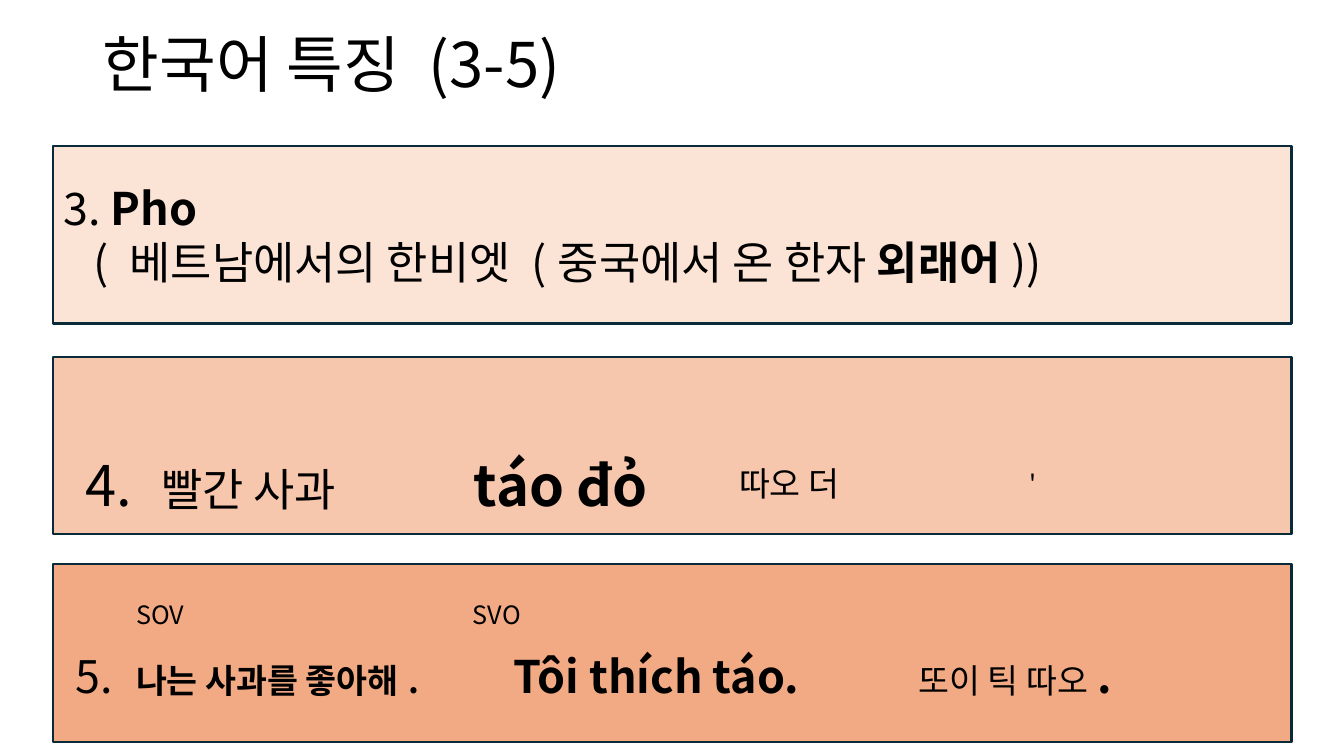
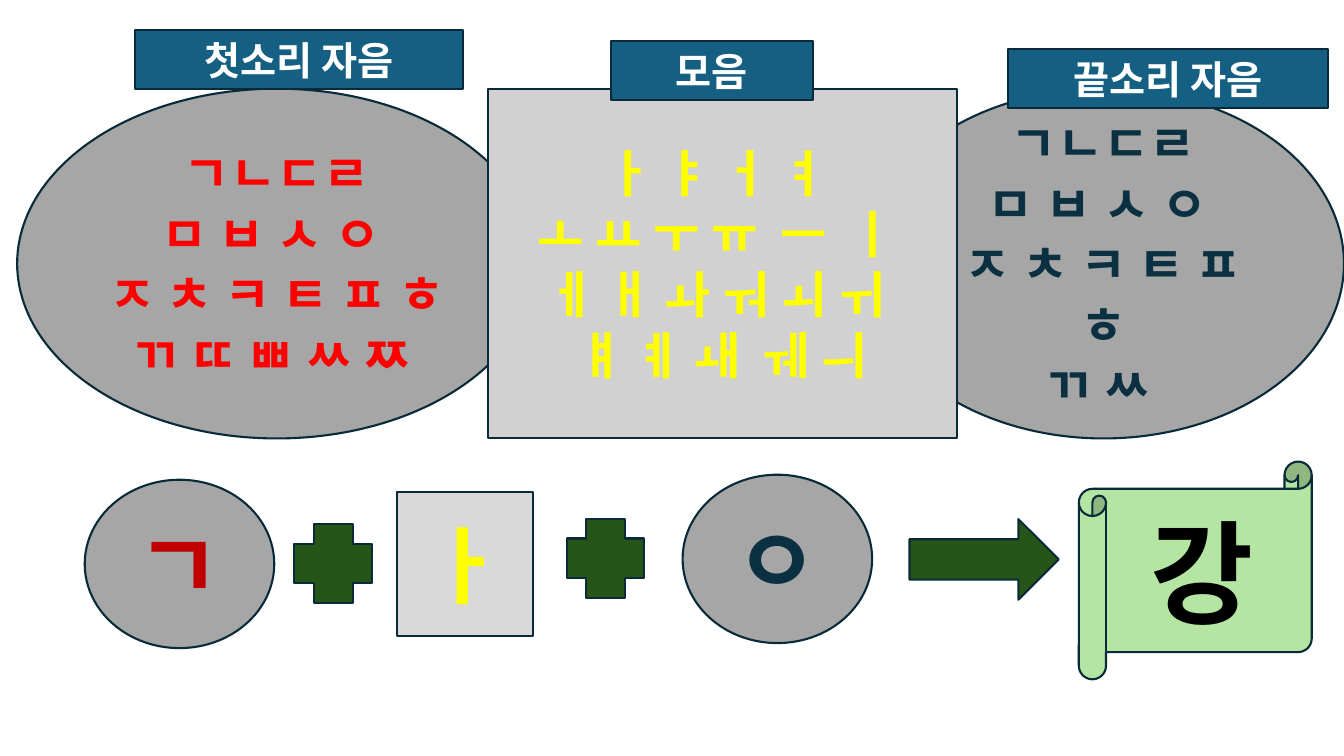
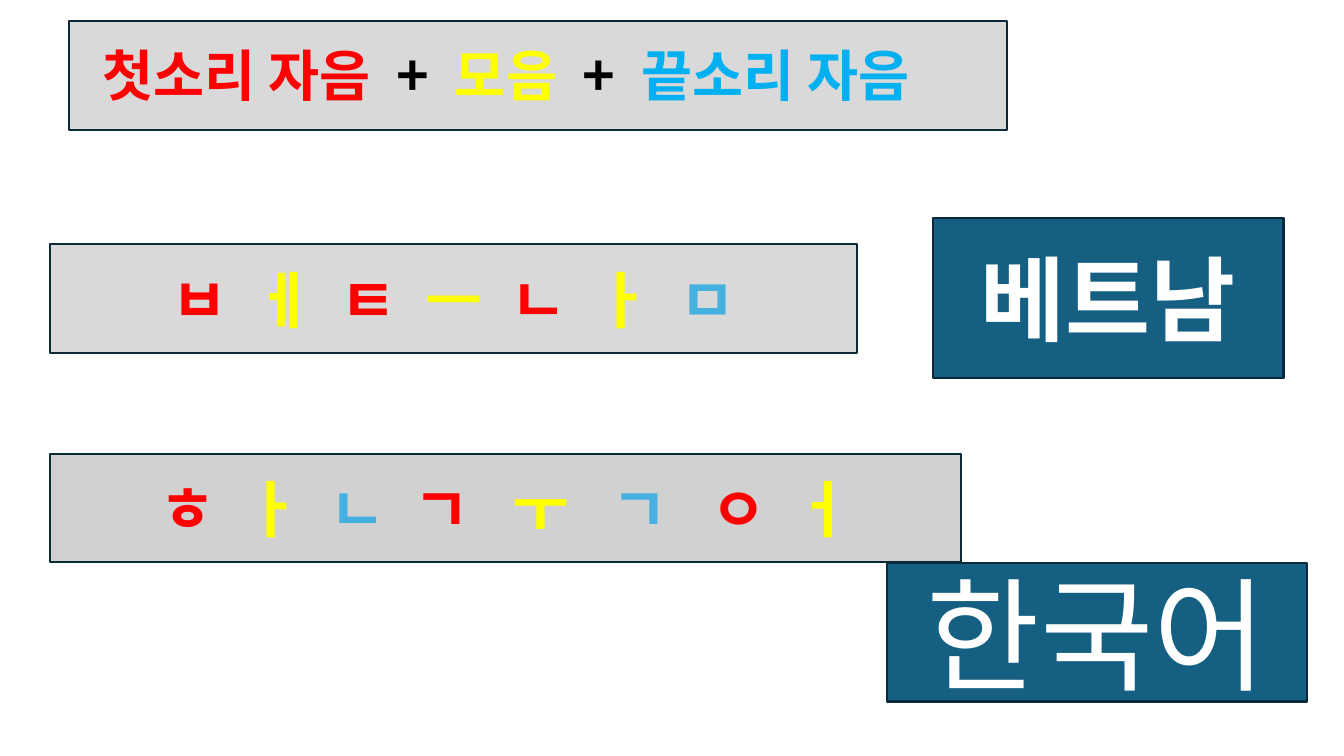
from lxml import etree
from pptx import Presentation
from pptx.dml.color import RGBColor
from pptx.enum.shapes import MSO_SHAPE
from pptx.enum.text import MSO_ANCHOR, MSO_AUTO_SIZE, PP_ALIGN
from pptx.oxml.ns import qn
from pptx.util import Inches, Pt

FONT = "Noto Sans CJK KR"
NO_GRID = "{2D5ABB26-0587-4C30-8999-92F81FD0307C}"
BLACK = RGBColor(0x00, 0x00, 0x00)
WHITE = RGBColor(0xFF, 0xFF, 0xFF)
RED = RGBColor(0xFF, 0x00, 0x00)
CRIMSON = RGBColor(0xC0, 0x00, 0x00)
YELLOW = RGBColor(0xFF, 0xFF, 0x00)
SKY = RGBColor(0x00, 0xB0, 0xF0)
AZURE = RGBColor(0x46, 0xB1, 0xE1)
NAVY = RGBColor(0x0B, 0x30, 0x41)
EDGE = RGBColor(0x09, 0x2A, 0x39)
TEAL = RGBColor(0x15, 0x60, 0x82)
GREEN = RGBColor(0x27, 0x54, 0x17)
LIME = RGBColor(0xB4, 0xE5, 0xA2)
GRAY = RGBColor(0xA6, 0xA6, 0xA6)
SILVER = RGBColor(0xD1, 0xD1, 0xD1)
PALE = RGBColor(0xD9, 0xD9, 0xD9)
PEACHES = [RGBColor(0xFB, 0xE3, 0xD6), RGBColor(0xF6, 0xC6, 0xAD),
           RGBColor(0xF2, 0xAA, 0x84)]
RECT, OVAL = MSO_SHAPE.RECTANGLE, MSO_SHAPE.OVAL


def run(text, size=None, bold=None, color=None, track=None):
    """Describe a run; track is letter spacing in points."""
    return text, size, bold, color, track


def place(shape, at):
    shape.left, shape.top, shape.width, shape.height = map(Inches, at)


class Deck:
    """Holds the shared style and the slide being filled."""

    def __init__(self):
        self.prs = Presentation()
        self.prs.slide_width = Inches(13.33)
        self.prs.slide_height = Inches(7.5)

    def slide(self, layout):
        page = self.prs.slides.add_slide(self.prs.slide_layouts[layout])
        self.shapes = page.shapes

    def style(self, font, size, bold, color):
        if size:
            font.size = Pt(size)
        if bold is not None:
            font.bold = bold
        if color is not None:
            font.color.rgb = color

    def para(self, para, runs, size, color=BLACK, bold=False,
             align=PP_ALIGN.LEFT, indent=0):
        para.alignment = align
        self.style(para.font, size, bold, color)
        para.font.name = FONT
        asian = etree.SubElement(para.font._element, qn("a:ea"))
        asian.set("typeface", FONT)
        if indent:
            para._p.get_or_add_pPr().set("marL", str(Inches(indent)))
        for item in [runs] if isinstance(runs, str) else runs:
            text, *look, track = run(item) if isinstance(item, str) else item
            piece = para.add_run()
            piece.text = text
            self.style(piece.font, *look)
            if track:
                piece.font._element.set("spc", str(round(track * 100)))

    def title(self, at, runs, size, **look):
        title = self.shapes.title
        place(title, at)
        title._element.getparent().append(title._element)
        frame = title.text_frame
        frame.auto_size = MSO_AUTO_SIZE.NONE
        frame.vertical_anchor = MSO_ANCHOR.MIDDLE
        para = frame.paragraphs[0]
        para.line_spacing = 0.9
        self.para(para, runs, size, **look)

    def shape(self, kind, at, fill, lines=(), size=18, color=BLACK, bold=True,
              align=PP_ALIGN.CENTER, indents=()):
        shape = self.shapes.add_shape(kind, *map(Inches, at))
        shape.shadow.inherit = False
        shape.fill.solid()
        shape.fill.fore_color.rgb = fill
        shape.line.color.rgb = EDGE
        shape.line.width = Pt(1.5)
        frame = shape.text_frame
        frame.vertical_anchor = MSO_ANCHOR.MIDDLE
        for i, runs in enumerate(lines):
            para = frame.add_paragraph() if i else frame.paragraphs[0]
            self.para(para, runs, size, color, bold, align,
                      indents[i] if indents else 0)

    def table(self, left, top, widths, heights, cells):
        """Draw a clear table; cells maps (row, column) to runs, size, indent."""
        frame = self.shapes.add_table(
            len(heights), len(widths), Inches(left), Inches(top),
            Inches(sum(widths)), Inches(sum(heights)))
        table = frame.table
        table.first_row = table.horz_banding = False
        table._tbl.tblPr.find(qn("a:tableStyleId")).text = NO_GRID
        for col, width in zip(table.columns, widths):
            col.width = Inches(width)
        for row, height in zip(table.rows, heights):
            row.height = Inches(height)
        for cell in table.iter_cells():
            cell.fill.background()
            cell.vertical_anchor = MSO_ANCHOR.MIDDLE
        for (row, col), (runs, size, indent) in cells.items():
            para = table.cell(row, col).text_frame.paragraphs[0]
            self.para(para, runs, size, indent=indent)


def traits(deck):
    deck.slide(5)
    deck.title((0.92, 0.22, 11.5, 0.9), "한국어 특징 (3-5)", 44)
    loan = [["3. ", run("Pho", bold=True)],
            ["( 베트남에서의 한비엣 (중국에서 온 한자 ",
             run("외래어", bold=True), "))"]]
    for top, fill, lines in zip((1.45, 3.54, 5.6), PEACHES, (loan, (), ())):
        deck.shape(RECT, (0.53, top, 12.28, 1.76), fill, lines, 32,
                   bold=False, align=PP_ALIGN.LEFT, indents=(0, 0.3))
    deck.table(0.75, 3.83, [3.6] + [2.88] * 3, [0.5, 0.9], {
        (1, 0): (["4. ", run("빨간 사과", 32)], 40, 0),
        (1, 1): ([run("táo đỏ", bold=True)], 40, 0.25),
        (1, 2): ("따오 더", 24, 0),
        (1, 3): ("'", 18, 0)})
    deck.table(0.65, 5.85, [3.94, 4.42, 4.42], [0.46, 0.74], {
        (0, 0): ("SOV", 18, 0.6),
        (0, 1): ("SVO", 18, 0),
        (1, 0): (["5. ", run("나는 사과를 좋아해.", 24, True)], 32, 0),
        (1, 1): ([run("Tôi thích táo.", bold=True)], 32, 0.4),
        (1, 2): (["또이 틱 따오", run(".", 32, True)], 24, 0)})


def letters(deck):
    deck.slide(6)
    first = ["ㄱㄴㄷㄹ", "ㅁ ㅂ ㅅ ㅇ ", "ㅈ ㅊ ㅋ ㅌ ㅍ ㅎ"]
    vowels = ["ㅏ ㅑ ㅓ ㅕ ",
              ["ㅗ ㅛ ㅜ ", run("ㅠ ㅡ ", track=4), "ㅣ "],
              "ㅔ ㅐ ㅘ ㅝ ㅚ ㅟ ",
              ["ㅒ ㅖ ", run("ㅙ ", track=4), "ㅞ ㅢ"]]
    deck.shape(OVAL, (0.17, 0.88, 5.15, 3.47), GRAY,
               first + ["ㄲ ㄸ ㅃ ㅆ ㅉ "], 36, RED)
    deck.shape(OVAL, (8.56, 0.88, 4.77, 3.47), GRAY,
               first + [["ㄲ ㅆ", run(" ", track=8)]], 36, NAVY)
    deck.shape(RECT, (4.84, 0.88, 4.65, 3.47), SILVER, vowels, 36, YELLOW)
    for left, top, width, label in ((1.34, 0.3, 3.25, "첫소리 자음"),
                                    (6.06, 0.41, 2, "모음"),
                                    (10, 0.49, 3.17, "끝소리 자음")):
        deck.shape(RECT, (left, top, width, 0.58), TEAL, [label], 28, WHITE)

    deck.shape(OVAL, (0.84, 4.76, 1.88, 1.67), GRAY, ["ㄱ"], 66, CRIMSON)
    deck.shape(RECT, (3.94, 4.88, 1.35, 1.43), PALE, ["ㅏ"], 60, YELLOW)
    deck.shape(OVAL, (6.77, 4.71, 1.88, 1.67), GRAY, ["ㅇ"], 66, NAVY)
    for left, top in ((2.92, 5.2), (5.62, 5.15)):
        deck.shape(MSO_SHAPE.CROSS, (left, top, 0.77, 0.78), GREEN)
    deck.shape(MSO_SHAPE.RIGHT_ARROW, (9.02, 5.15, 1.48, 0.8), GREEN)
    deck.shape(MSO_SHAPE.HORIZONTAL_SCROLL, (10.7, 4.58, 2.31, 2.16), LIME,
               ["강"], 80)


def words(deck):
    deck.slide(5)
    deck.shape(RECT, (0.68, 0.21, 9.31, 1.08), PALE)
    deck.title((0.92, 0.4, 11.5, 0.75), [
        run("첫소리 자음 ", color=RED), "+ ", run("모음 ", color=YELLOW),
        "+ ", run("끝소리 자음", color=SKY)], 39.6, bold=True)

    hues = {"r": RED, "y": YELLOW, "b": AZURE}
    rows = ((2.42, 8, PALE, "ㅂㅔㅌㅡㄴㅏㅁ", "ryryryb", ()),
            (4.5, 9.03, SILVER, "ㅎㅏㄴㄱㅜㄱㅇㅓ", "rybrybry", (3, 4, 5)))
    for top, width, fill, text, tones, wide in rows:
        runs = []
        for i, (char, tone) in enumerate(zip(text, tones)):
            last = i == len(text) - 1
            track = 0 if last else 10 if i in wide else 5
            runs.append(run(char if last else char + " ",
                            color=hues[tone], track=track))
        deck.shape(RECT, (0.5, top, width, 1.08), fill, [runs], 44)
    deck.shape(RECT, (9.25, 2.16, 3.48, 1.59), TEAL, ["베트남"], 66, WHITE)
    deck.shape(RECT, (8.8, 5.59, 4.16, 1.37), TEAL, ["한국어"], 88, WHITE,
               bold=False)


def main():
    deck = Deck()
    for build in (traits, letters, words):
        build(deck)
    deck.prs.save("out.pptx")


if __name__ == "__main__":
    main()
